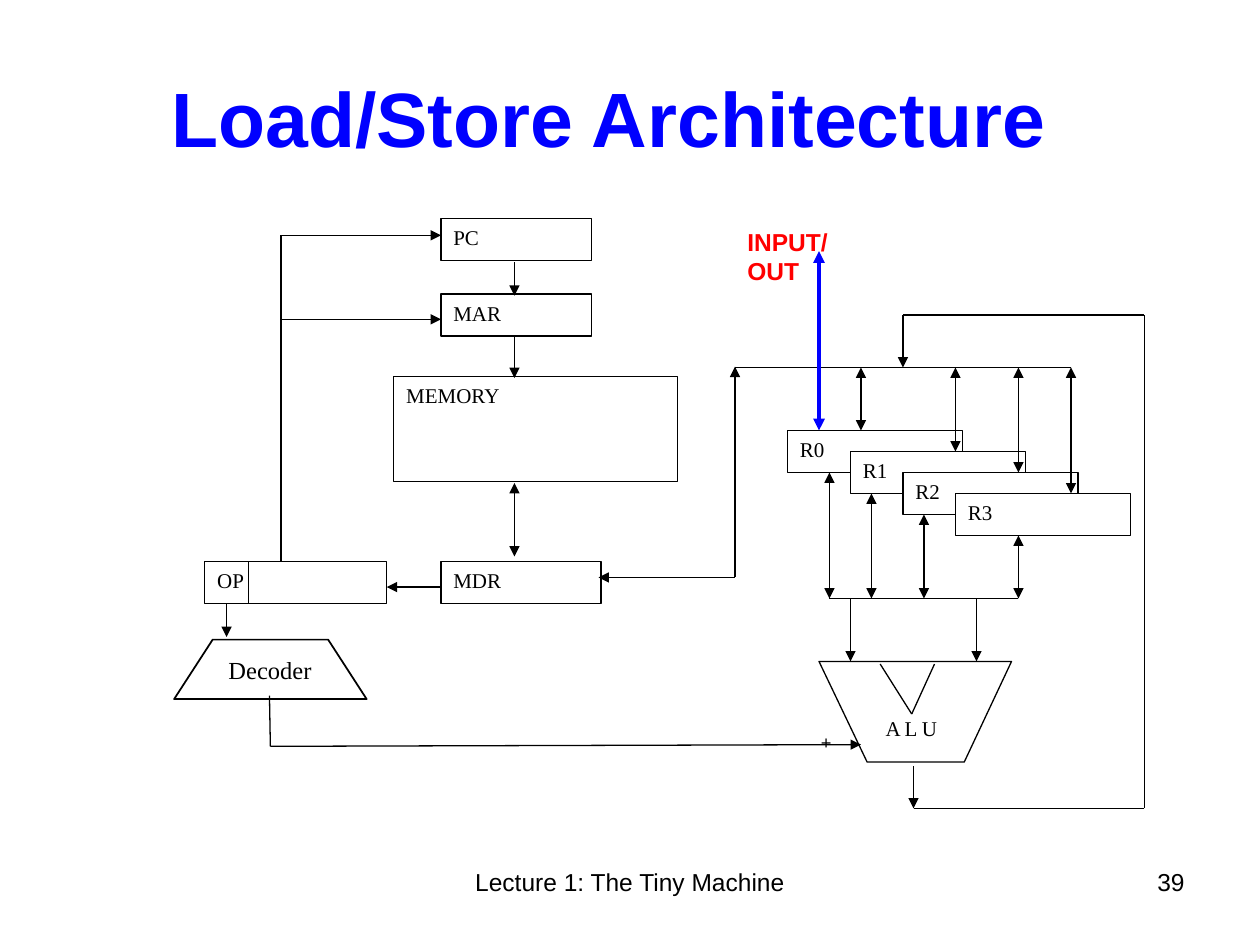
from pptx import Presentation
from pptx.dml.color import RGBColor
from pptx.enum.shapes import MSO_CONNECTOR, MSO_SHAPE
from pptx.enum.text import MSO_ANCHOR, PP_ALIGN
from pptx.oxml.ns import qn
from pptx.util import Pt
from lxml.etree import SubElement

BLACK = RGBColor(0, 0, 0)
WHITE = RGBColor(255, 255, 255)
BLUE = RGBColor(0, 0, 255)
RED = RGBColor(255, 0, 0)
SANS, SERIF = "Arial", "Times New Roman"
THIN = 0.74


class Diagram:
    """Draw the elements of a block diagram on one slide."""

    def __init__(self, page):
        """Keep the slide that receives the elements."""
        self.page = page
        self.shapes = page.shapes

    def set_text(self, shape, text, size, font, color=BLACK, bold=False,
                 align=PP_ALIGN.LEFT, anchor=MSO_ANCHOR.TOP):
        """Put formatted text into a shape and return its run."""
        frame = shape.text_frame
        frame.text = text
        frame.word_wrap = True
        frame.vertical_anchor = anchor
        para = frame.paragraphs[0]
        para.alignment = align
        span = para.runs[0]
        span.font.size = Pt(size)
        span.font.name = font
        span.font.bold = bold
        span.font.color.rgb = color
        return span

    def outline(self, shape, weight=THIN):
        """Give a shape a white fill and a black outline."""
        shape.shadow.inherit = False
        shape.fill.solid()
        shape.fill.fore_color.rgb = WHITE
        shape.line.color.rgb = BLACK
        shape.line.width = Pt(weight)
        return shape

    def title(self, text, left, top, width, height):
        """Place and format the title placeholder."""
        title = self.shapes.title
        title.left, title.top = Pt(left), Pt(top)
        title.width, title.height = Pt(width), Pt(height)
        self.set_text(title, text, 44, SANS, BLUE, True, PP_ALIGN.CENTER, MSO_ANCHOR.MIDDLE)

    def label(self, text, left, top, width, height, size=14, font=SANS, **style):
        """Add a text box and return its run."""
        box = self.shapes.add_textbox(Pt(left), Pt(top), Pt(width), Pt(height))
        return self.set_text(box, text, size, font, **style)

    def block(self, text, left, top, width, height=24):
        """Add a labelled rectangle."""
        box = self.shapes.add_shape(MSO_SHAPE.RECTANGLE, Pt(left), Pt(top), Pt(width), Pt(height))
        self.set_text(self.outline(box), text, 12, SERIF)

    def decoder(self, text, left, top, width, height):
        """Add the decoder trapezoid with its label."""
        shape = self.shapes.add_shape(MSO_SHAPE.FLOWCHART_MANUAL_OPERATION,
                                      Pt(left), Pt(top), Pt(width), Pt(height))
        shape.rotation = 180
        self.outline(shape, 0.99)
        self.label(text, left + 24, top + 5, 66, 24.5, font=SERIF)

    def alu(self, text, corners):
        """Add the arithmetic unit as a closed outline."""
        points = [(Pt(x), Pt(y)) for x, y in corners]
        builder = self.shapes.build_freeform(*points[0], scale=1.0)
        builder.add_line_segments(points[1:], close=True)
        shape = self.outline(builder.convert_to_shape())
        self.set_text(shape, text, 12, SERIF)
        shape.text_frame.margin_left = Pt(38)
        shape.text_frame.margin_top = Pt(30.8)

    def wire(self, x1, y1, x2, y2, ends="", color=BLACK, weight=THIN):
        """Add a line with arrowheads at the ends named by < and >."""
        line = self.shapes.add_connector(MSO_CONNECTOR.STRAIGHT, Pt(x1), Pt(y1), Pt(x2), Pt(y2))
        line.line.color.rgb = color
        line.line.width = Pt(weight)
        properties = line._element.spPr
        stroke = properties.get_or_add_ln()
        for mark, tag in (("<", "a:headEnd"), (">", "a:tailEnd")):
            if mark in ends:
                SubElement(stroke, qn(tag)).set("type", "triangle")
        SubElement(properties, qn("a:effectLst"))


deck = Presentation()
deck.slide_width, deck.slide_height = Pt(720), Pt(540)
diagram = Diagram(deck.slides.add_slide(deck.slide_layouts[5]))
diagram.title("Load/Store Architecture", 24, 21.6, 648, 90)

for name, *place in (
    ("PC", 252, 125, 86),
    ("MAR", 252, 168, 86),
    ("MDR", 252, 321, 91.5),
    ("OP", 117, 321, 104),
    ("MEMORY", 225, 215, 162, 60),
):
    diagram.block(name, *place)

diagram.alu("A L U", [(468, 378), (495.5, 435.5), (551, 435.5), (578, 378)])
diagram.decoder("Decoder", 99.5, 365.5, 110, 34)

BUS_TOP, BUS_BOTTOM = 210, 342
registers = list(enumerate(zip((450, 486, 516, 546), (492, 546, 582, 612), (474, 498, 528, 582))))
for number, (left, upper, lower) in registers:
    diagram.block(f"R{number}", left, 246 + 12 * number, 100)
for number, (left, upper, lower) in registers:
    top = 246 + 12 * number
    diagram.wire(upper, BUS_TOP, upper, top, "<>")
    diagram.wire(lower, top + 24, lower, BUS_BOTTOM, "<>")

for wire in (
    (294, 150, 294, 169, ">"),
    (294, 192, 294, 216, ">"),
    (294, 318, 294, 276, "<>"),
    (160.5, 321, 160.5, 134.5),
    (160.5, 134.5, 252, 134.5, ">"),
    (160.5, 182.5, 252, 182.5, ">"),
    (252, 335.5, 221, 335.5, ">"),
    (142, 321, 142, 345),
    (129.5, 345, 129.5, 364, ">"),
    (154, 397.5, 154.5, 426.5),
    (154.5, 426.5, 492, 425.5, ">"),
    (342, 330, 420, 330, "<"),
    (420, 330, 420, 209.5, ">"),
    (420, BUS_TOP, 612, BUS_TOP),
    (474, BUS_BOTTOM, 582, BUS_BOTTOM),
    (486, BUS_BOTTOM, 486, 378, ">"),
    (558, BUS_BOTTOM, 558, 378, ">"),
    (503, 379.5, 521, 408),
    (534, 379.5, 521, 408),
    (522, 438, 522, 462, ">"),
    (522, 462, 654, 462),
    (654, 462, 654, 180),
    (654, 180, 516, 180),
    (516, 180, 516, BUS_TOP, ">"),
    (468, 246, 468, 143.5, "<>", BLUE, 2.24),
):
    diagram.wire(*wire)

plus = diagram.label("+", 462, 402, 22, 31.5, size=18)
plus.font._element.set("baseline", "-25000")
diagram.label("INPUT/OUT", 420, 126, 86, 40, color=RED, bold=True)
diagram.label("Lecture 1: The Tiny Machine", 246, 492, 228, 37, align=PP_ALIGN.CENTER)
diagram.label("39", 516, 492, 168, 37, align=PP_ALIGN.RIGHT)

deck.save("out.pptx")
